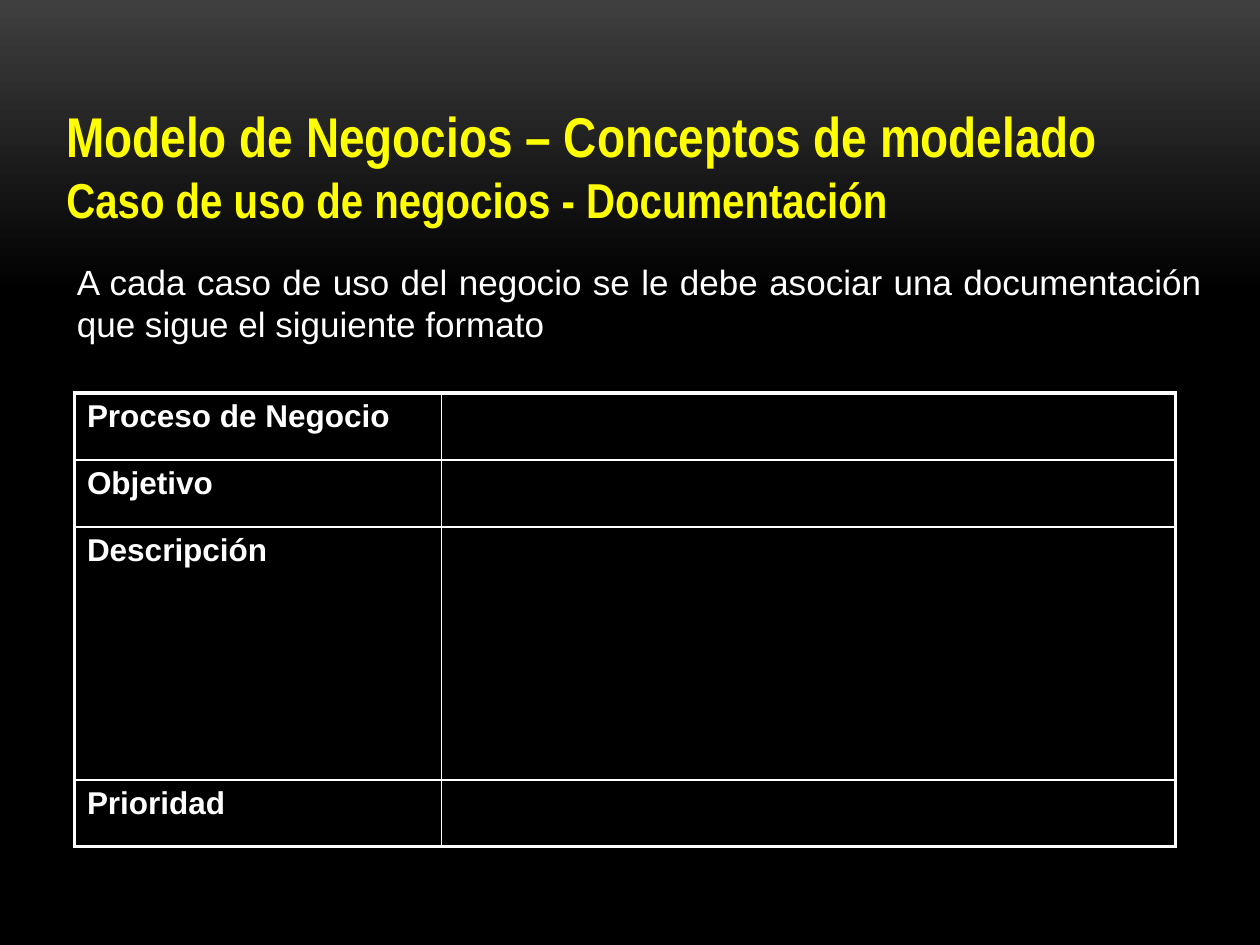
from lxml.etree import SubElement as Sub
from pptx import Presentation
from pptx.dml.color import RGBColor
from pptx.enum.text import MSO_AUTO_SIZE as Auto, PP_ALIGN as Align
from pptx.oxml.ns import qn
from pptx.util import Cm, Pt

GREY = RGBColor(0x3F, 0x3F, 0x3F)
BLACK = RGBColor(0, 0, 0)
WHITE = RGBColor(0xFF, 0xFF, 0xFF)
YELLOW = RGBColor(0xFF, 0xFF, 0)

HEAD = {"name": "Arial Narrow", "size": Pt(32), "bold": True}
SUBHEAD = {**HEAD, "size": Pt(28)}
BODY = {"name": "Arial", "size": Pt(20), "bold": False}
LABEL = {"name": "Arial", "size": Pt(18), "bold": True}


def write(para, text, style, color):
    run = para.add_run()
    run.text = text
    for key, value in style.items():
        setattr(run.font, key, value)
    run.font.color.rgb = color


def edge(cell, side, width):
    line = Sub(cell._tc.get_or_add_tcPr(), qn(f"a:{side}"), w=str(Pt(width)))
    fill = Sub(line, qn("a:solidFill"))
    Sub(fill, qn("a:srgbClr"), val=str(WHITE))


deck = Presentation()
deck.slide_width, deck.slide_height = Cm(25.4), Cm(19.05)
slide = deck.slides.add_slide(deck.slide_layouts[6])

# Background: grey fading down to black
back = slide.background.fill
back.gradient()
back.gradient_angle = 270
for stop, color, place in zip(back.gradient_stops, (GREY, BLACK), (0, 0.31)):
    stop.color.rgb = color
    stop.position = place

# Title and introduction
boxes = [
    ((1.09, 1.93, 22.86, 2.79), YELLOW, [
        ("Modelo de Negocios – Conceptos de modelado", HEAD),
        ("Caso de uso de negocios - Documentación", SUBHEAD),
    ]),
    ((1.3, 5.13, 23.19, 1.96), WHITE, [
        ("A cada caso de uso del negocio se le debe asociar una documentación "
         "que sigue el siguiente formato", BODY),
    ]),
]
for area, color, lines in boxes:
    frame = slide.shapes.add_textbox(*map(Cm, area)).text_frame
    frame.word_wrap = True
    frame.auto_size = Auto.SHAPE_TO_FIT_TEXT
    for i, (text, style) in enumerate(lines):
        para = frame.add_paragraph() if i else frame.paragraphs[0]
        para.alignment = Align.JUSTIFY
        write(para, text, style, color)

# Documentation table
rows = [("Proceso de Negocio", 1.35), ("Objetivo", 1.35),
        ("Descripción", 5.1), ("Prioridad", 1.35)]
cols = [7.4, 14.8]
high = sum(h for _, h in rows)
table = slide.shapes.add_table(len(rows), len(cols), Cm(1.5), Cm(7.92),
                               Cm(sum(cols)), Cm(high)).table
table.first_row = table.horz_banding = False
for col, width in zip(table.columns, cols):
    col.width = Cm(width)
for r, (text, height) in enumerate(rows):
    table.rows[r].height = Cm(height)
    write(table.cell(r, 0).text_frame.paragraphs[0], text, LABEL, WHITE)
    for c in range(len(cols)):
        cell = table.cell(r, c)
        # Thick frame outside, thin lines inside
        outer = {"lnL": c == 0, "lnR": c == len(cols) - 1,
                 "lnT": r == 0, "lnB": r == len(rows) - 1}
        for side, thick in outer.items():
            edge(cell, side, 2.25 if thick else 1)
        cell.fill.background()

deck.save("out.pptx")
